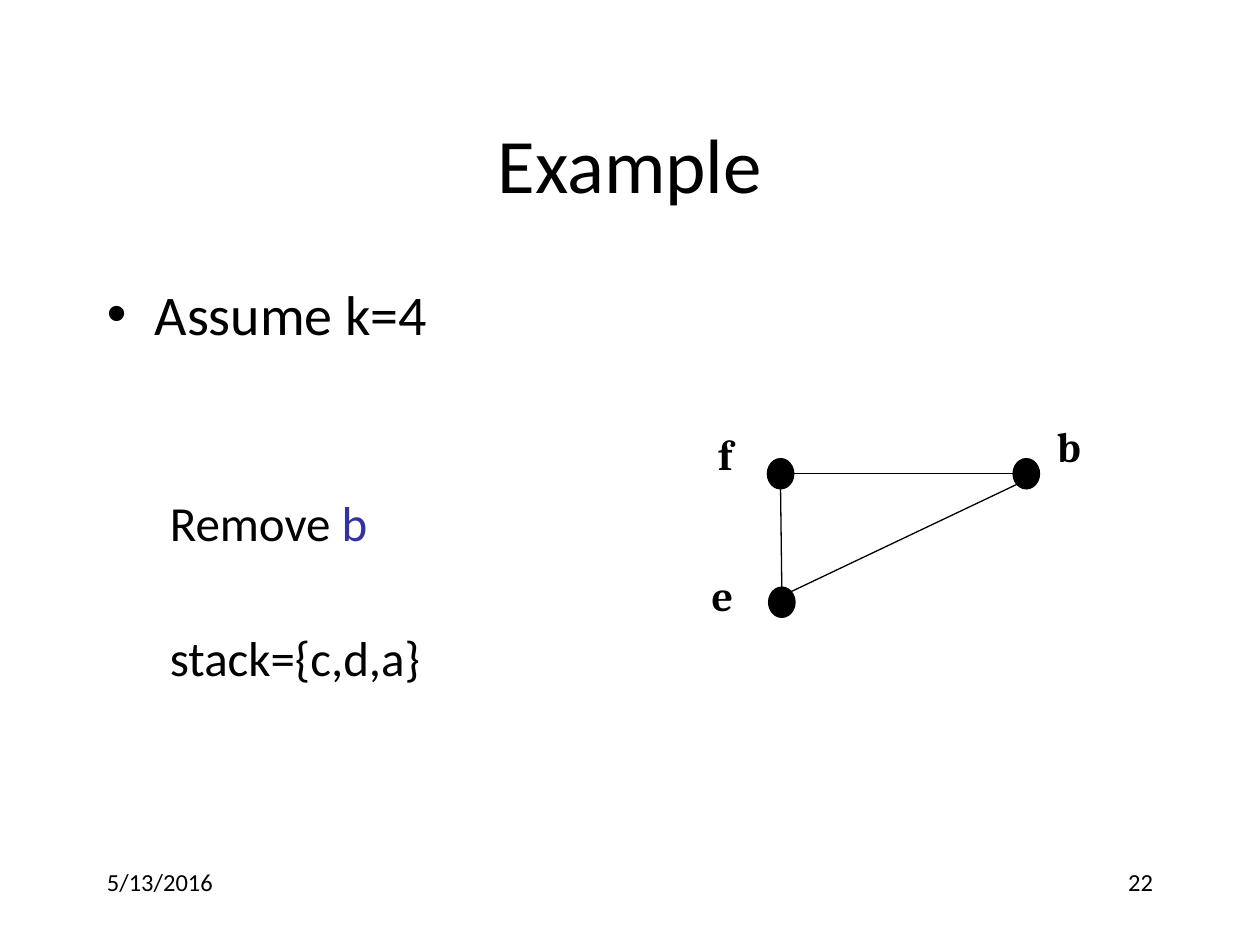
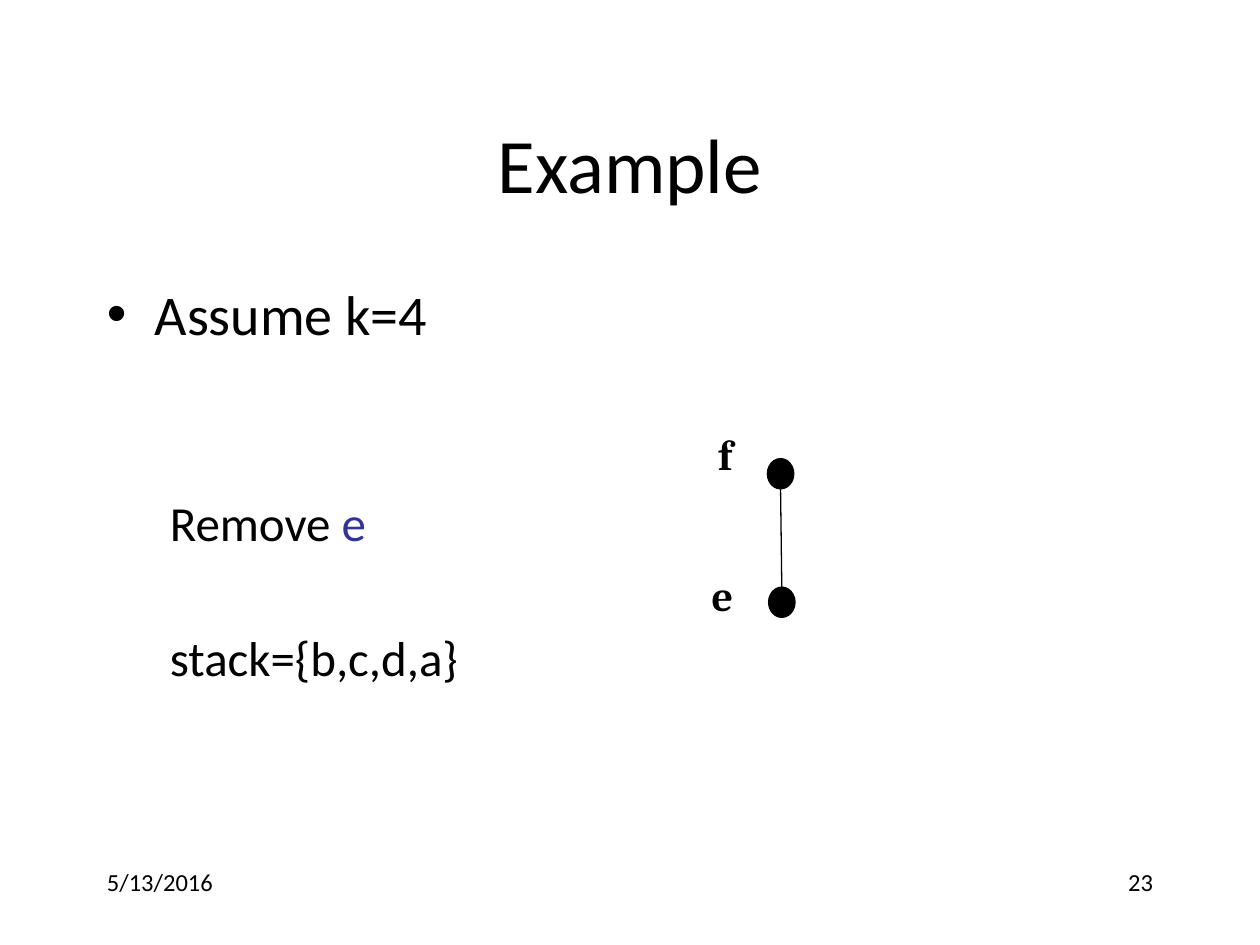
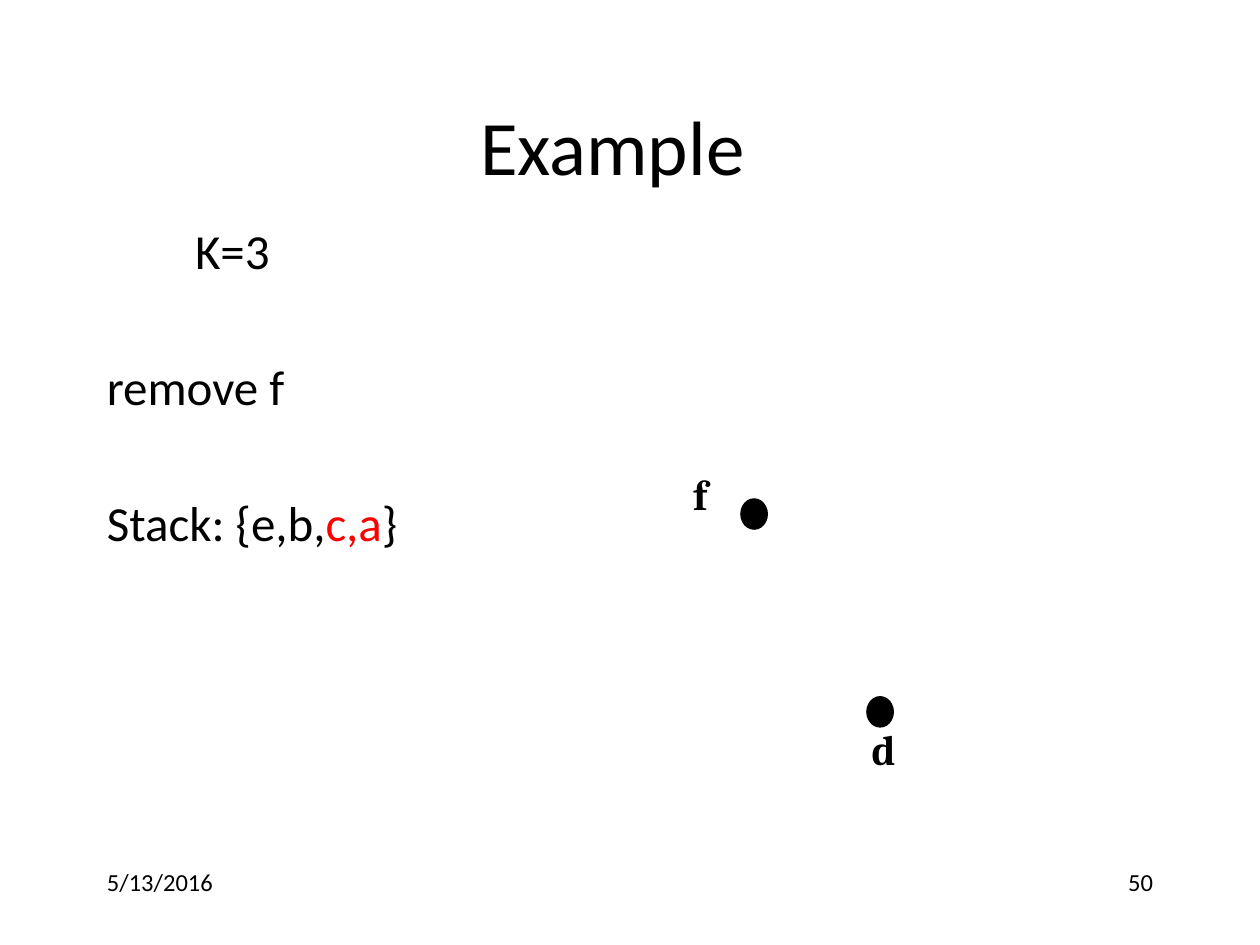
from dataclasses import dataclass

from lxml import etree
from pptx import Presentation
from pptx.dml.color import RGBColor
from pptx.enum.shapes import MSO_CONNECTOR, MSO_SHAPE
from pptx.enum.text import MSO_ANCHOR, MSO_AUTO_SIZE, PP_ALIGN
from pptx.oxml.ns import qn
from pptx.slide import Slide
from pptx.text.text import TextFrame
from pptx.util import Inches, Pt

BLACK = RGBColor(0x00, 0x00, 0x00)
WHITE = RGBColor(0xFF, 0xFF, 0xFF)
INDIGO = RGBColor(0x33, 0x33, 0x99)
RED = RGBColor(0xFF, 0x00, 0x00)

BODY_FONT = "Calibri"
LABEL_FONT = "Cambria"
LEFT, CENTER, RIGHT = PP_ALIGN.LEFT, PP_ALIGN.CENTER, PP_ALIGN.RIGHT
TOP, MIDDLE = MSO_ANCHOR.TOP, MSO_ANCHOR.MIDDLE
NO_RESIZE, GROW = MSO_AUTO_SIZE.NONE, MSO_AUTO_SIZE.SHAPE_TO_FIT_TEXT
OVAL = MSO_SHAPE.OVAL
STRAIGHT = MSO_CONNECTOR.STRAIGHT

TITLE_ONLY = 5
MARGIN = 0.75
CONTENT_WIDTH = 8.5
INSET = 0.1
DATE = "5/13/2016"
NODE_WIDTH, NODE_HEIGHT = 0.21, 0.24
LINE_WIDTH = Pt(0.75)
STEP_GAP = 44  # points before a step in the list
WIDE_GAP = 83  # points between the heading and the first step

# Points on a node's outline, as fractions of its width and height
SITES = {
    "top": (0.5, 0),
    "bottom": (0.5, 1),
    "left": (0, 0.5),
    "right": (1, 0.5),
    "top right": (0.85, 0.15),
    "bottom left": (0.15, 0.85),
}


@dataclass(frozen=True)
class Run:
    text: str
    color: RGBColor = BLACK


@dataclass(frozen=True)
class Para:
    runs: tuple[Run, ...]
    size: float = 28
    before: float = 0
    indent: float = 0
    bullet: bool = False
    align: PP_ALIGN = LEFT
    font: str = BODY_FONT
    bold: bool = False


@dataclass(frozen=True)
class Node:
    name: str
    left: float
    top: float
    label_left: float
    label_top: float
    label_width: float
    label_indent: float = 0


@dataclass(frozen=True)
class Edge:
    start: Node
    start_site: str
    end: Node
    end_site: str


@dataclass(frozen=True)
class ExampleSlide:
    number: int
    paras: tuple[Para, ...]
    nodes: tuple[Node, ...]
    edges: tuple[Edge, ...] = ()
    title_top: float = 0.67
    title_shift: float = 0
    body_top: float = 2.17
    body_width: float = CONTENT_WIDTH


def write(frame: TextFrame, paras: tuple[Para, ...]) -> None:
    frame.word_wrap = True
    for index, item in enumerate(paras):
        para = frame.paragraphs[0] if index == 0 else frame.add_paragraph()
        para.alignment = item.align
        para.space_before = Pt(item.before)
        properties = para._p.get_or_add_pPr()
        properties.set("marL", str(Inches(item.indent)))
        properties.set("indent", str(Inches(-item.indent if item.bullet else 0)))
        if item.bullet:
            etree.SubElement(properties, qn("a:buFont"), typeface="Arial")
            etree.SubElement(properties, qn("a:buChar"), char="•")
        else:
            etree.SubElement(properties, qn("a:buNone"))
        for piece in item.runs:
            run = para.add_run()
            run.text = piece.text
            run.font.name = item.font
            run.font.size = Pt(item.size)
            run.font.bold = item.bold
            run.font.color.rgb = piece.color


def add_text(shapes, left: float, top: float, width: float, height: float,
             *paras: Para) -> TextFrame:
    box = shapes.add_textbox(Inches(left), Inches(top), Inches(width), Inches(height))
    write(box.text_frame, paras)
    return box.text_frame


def add_title(slide: Slide, top: float, shift: float) -> None:
    title = slide.shapes.title
    title.left, title.top = Inches(MARGIN), Inches(top)
    title.width, title.height = Inches(CONTENT_WIDTH), Inches(1.25)
    frame = title.text_frame
    frame.auto_size = NO_RESIZE
    frame.vertical_anchor = MIDDLE
    frame.margin_right = Inches(INSET + shift)
    write(frame, (Para((Run("Example"),), size=44, align=CENTER),))


def add_footer(slide: Slide, number: int) -> None:
    width = 2.08
    places = ((MARGIN, DATE, LEFT), (MARGIN + CONTENT_WIDTH - width, str(number), RIGHT))
    for left, text, align in places:
        add_text(slide.shapes, left, 6.83, width, 0.5,
                 Para((Run(text),), size=14, align=align))


def add_node(slide: Slide, node: Node) -> None:
    group = slide.shapes.add_group_shape()
    dot = group.shapes.add_shape(OVAL, Inches(node.left), Inches(node.top),
                                 Inches(NODE_WIDTH), Inches(NODE_HEIGHT))
    dot.shadow.inherit = False
    dot.fill.solid()
    dot.fill.fore_color.rgb = BLACK
    dot.line.color.rgb = BLACK
    dot.line.width = LINE_WIDTH
    label = Para((Run(node.name),), size=24, font=LABEL_FONT, bold=True)
    frame = add_text(group.shapes, node.label_left, node.label_top,
                     node.label_width, 0.5, label)
    frame.margin_left = Inches(INSET + node.label_indent)
    frame.auto_size = GROW


def site_point(node: Node, site: str) -> tuple[int, int]:
    across, down = SITES[site]
    return Inches(node.left + across * NODE_WIDTH), Inches(node.top + down * NODE_HEIGHT)


def add_edge(slide: Slide, edge: Edge) -> None:
    line = slide.shapes.add_connector(STRAIGHT, *site_point(edge.start, edge.start_site),
                                      *site_point(edge.end, edge.end_site))
    line.line.color.rgb = BLACK
    line.line.width = LINE_WIDTH
    etree.SubElement(line._element.spPr, qn("a:effectLst"))


def add_example(deck, example: ExampleSlide) -> None:
    slide = deck.slides.add_slide(deck.slide_layouts[TITLE_ONLY])
    slide.background.fill.solid()
    slide.background.fill.fore_color.rgb = WHITE
    add_title(slide, example.title_top, example.title_shift)
    frame = add_text(slide.shapes, MARGIN, example.body_top, example.body_width, 4.5,
                     *example.paras)
    frame.vertical_anchor = TOP
    add_footer(slide, example.number)
    for node in example.nodes:
        add_node(slide, node)
    for edge in example.edges:
        add_edge(slide, edge)


def removal_paras(removed: str, stack: str) -> tuple[Para, ...]:
    return (
        Para((Run("Assume k=4"),), size=32, indent=0.38, bullet=True),
        Para((Run("Remove "), Run(removed, INDIGO)), before=WIDE_GAP, indent=0.5),
        Para((Run(f"stack={{{stack}}}"),), before=STEP_GAP, indent=0.5),
    )


# Graph parts
NODE_B = Node("b", 8.04, 3.64, 8.29, 3.29, 0.86)
NODE_F = Node("f", 6.09, 3.64, 5.6, 3.35, 0.92)
NODE_E = Node("e", 6.1, 4.66, 5.55, 4.47, 0.84)
LONE_F = Node("f", 5.88, 3.96, 5.11, 3.67, 0.92, label_indent=0.29)
LONE_D = Node("d", 6.88, 5.53, 6.82, 5.69, 1.01)
EDGE_EF = Edge(NODE_E, "top", NODE_F, "bottom")
EDGE_BF = Edge(NODE_B, "left", NODE_F, "right")
EDGE_BE = Edge(NODE_B, "bottom left", NODE_E, "top right")

EXAMPLES = (
    ExampleSlide(22, removal_paras("b", "c,d,a"), (NODE_B, NODE_F, NODE_E),
                 (EDGE_EF, EDGE_BF, EDGE_BE)),
    ExampleSlide(23, removal_paras("e", "b,c,d,a"), (NODE_F, NODE_E), (EDGE_EF,)),
    ExampleSlide(
        50,
        (
            Para((Run("K=3"),), indent=0.7),
            Para((Run("remove f"),), before=STEP_GAP),
            Para((Run("Stack: {e,b,"), Run("c,a", RED), Run("}")), before=STEP_GAP),
        ),
        (LONE_F, LONE_D),
        title_top=0.52, title_shift=0.28, body_top=1.7, body_width=8.66,
    ),
)


def main() -> None:
    deck = Presentation()
    deck.slide_width, deck.slide_height = Inches(10), Inches(7.5)
    for example in EXAMPLES:
        add_example(deck, example)
    deck.save("out.pptx")


if __name__ == "__main__":
    main()
